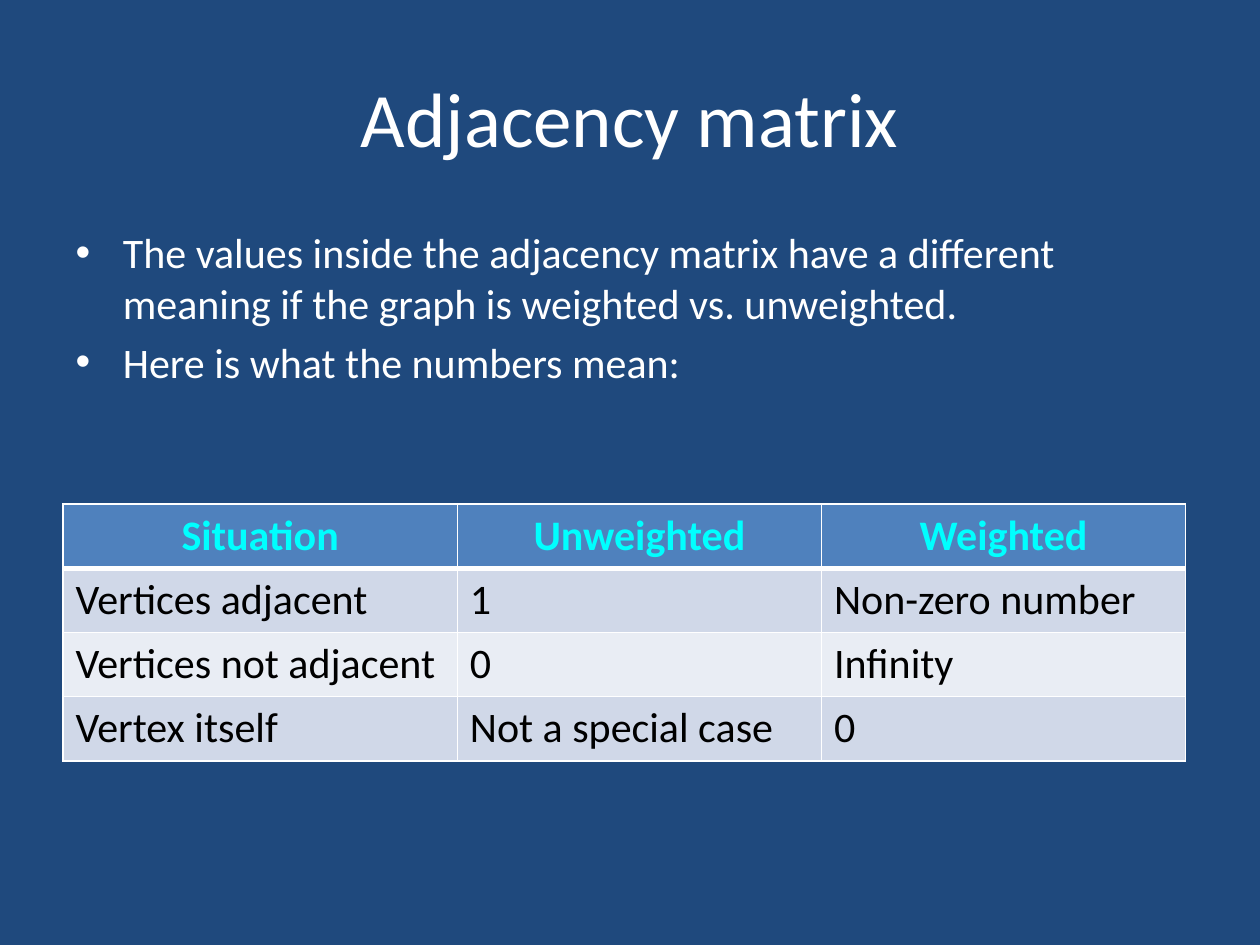
from dataclasses import dataclass

from lxml import etree
from pptx import Presentation
from pptx.dml.color import RGBColor
from pptx.enum.text import MSO_ANCHOR, PP_ALIGN
from pptx.oxml.ns import qn
from pptx.util import Inches, Pt

CENTER, LEFT = PP_ALIGN.CENTER, PP_ALIGN.LEFT
MIDDLE = MSO_ANCHOR.MIDDLE


@dataclass(frozen=True)
class Theme:
    font: str = "Calibri"
    title_size: int = 44
    text_size: int = 24
    background: str = "1F497D"
    light: str = "FFFFFF"
    accent: str = "00FFFF"
    dark: str = "000000"
    header: str = "4F81BD"
    bands: tuple = ("D0D8E8", "E9EDF4")
    rule: int = 1
    header_rule: int = 3


THEME = Theme()
WIDTH, HEIGHT = 10, 7.5
MARGIN = 0.05 * WIDTH
CONTENT_WIDTH = WIDTH - 2 * MARGIN
COLUMN_WIDTHS = (3.13, 2.89, 2.89)
ROW_HEIGHT = 0.51

BULLETS = (
    "The values inside the adjacency matrix have a different meaning "
    "if the graph is weighted vs. unweighted.",
    "Here is what the numbers mean:",
)
MEANINGS = (
    ("Situation", "Unweighted", "Weighted"),
    ("Vertices adjacent", "1", "Non-zero number"),
    ("Vertices not adjacent", "0", "Infinity"),
    ("Vertex itself", "Not a special case", "0"),
)


def place(s, left, top, width, height):
    s.left, s.top = Inches(left), Inches(top)
    s.width, s.height = Inches(width), Inches(height)


def style_text(tf, size, color, align, bold=False):
    for p in tf.paragraphs:
        p.alignment = align
        for r in p.runs:
            r.font.name = THEME.font
            r.font.size = Pt(size)
            r.font.bold = bold
            r.font.color.rgb = RGBColor.from_string(color)


def add_title(slide, text):
    s = slide.shapes.title
    place(s, MARGIN, 0.04 * HEIGHT, CONTENT_WIDTH, 1.25)
    s.text_frame.text = text
    s.text_frame.vertical_anchor = MIDDLE
    style_text(s.text_frame, THEME.title_size, THEME.light, CENTER)


def add_bullets(slide, items):
    # Bullet marks, indents and spacing come from the template
    s = slide.placeholders[1]
    place(s, MARGIN, 1.75, CONTENT_WIDTH, 0.66 * HEIGHT)
    s.text_frame.text = "\n".join(items)
    style_text(s.text_frame, THEME.text_size, THEME.light, LEFT)


def set_borders(cell, top, bottom):
    tc_pr = cell._tc.get_or_add_tcPr()
    widths = {"L": THEME.rule, "R": THEME.rule, "T": top, "B": bottom}
    for side, width in widths.items():
        ln = etree.SubElement(tc_pr, qn(f"a:ln{side}"), w=str(Pt(width)))
        fill = etree.SubElement(ln, qn("a:solidFill"))
        etree.SubElement(fill, qn("a:srgbClr"), val=THEME.light)


def style_cell(cell, row):
    is_header = row == 0
    set_borders(
        cell,
        top=THEME.header_rule if row == 1 else THEME.rule,
        bottom=THEME.header_rule if is_header else THEME.rule,
    )
    fill = THEME.header if is_header else THEME.bands[(row - 1) % 2]
    cell.fill.solid()
    cell.fill.fore_color.rgb = RGBColor.from_string(fill)
    color, align = (THEME.accent, CENTER) if is_header else (THEME.dark, LEFT)
    style_text(cell.text_frame, THEME.text_size, color, align, is_header)


def add_meanings_table(slide, rows):
    table = slide.shapes.add_table(
        len(rows), len(COLUMN_WIDTHS), Inches(MARGIN), Inches(4),
        Inches(sum(COLUMN_WIDTHS)), Inches(ROW_HEIGHT * len(rows)),
    ).table
    for column, width in zip(table.columns, COLUMN_WIDTHS):
        column.width = Inches(width)
    for i, values in enumerate(rows):
        for j, value in enumerate(values):
            cell = table.cell(i, j)
            cell.text_frame.text = value
            style_cell(cell, i)


def main():
    prs = Presentation()
    prs.slide_width, prs.slide_height = Inches(WIDTH), Inches(HEIGHT)
    slide = prs.slides.add_slide(prs.slide_layouts[1])
    slide.background.fill.solid()
    slide.background.fill.fore_color.rgb = RGBColor.from_string(THEME.background)

    add_title(slide, "Adjacency matrix")
    add_bullets(slide, BULLETS)
    add_meanings_table(slide, MEANINGS)
    prs.save("out.pptx")


if __name__ == "__main__":
    main()
